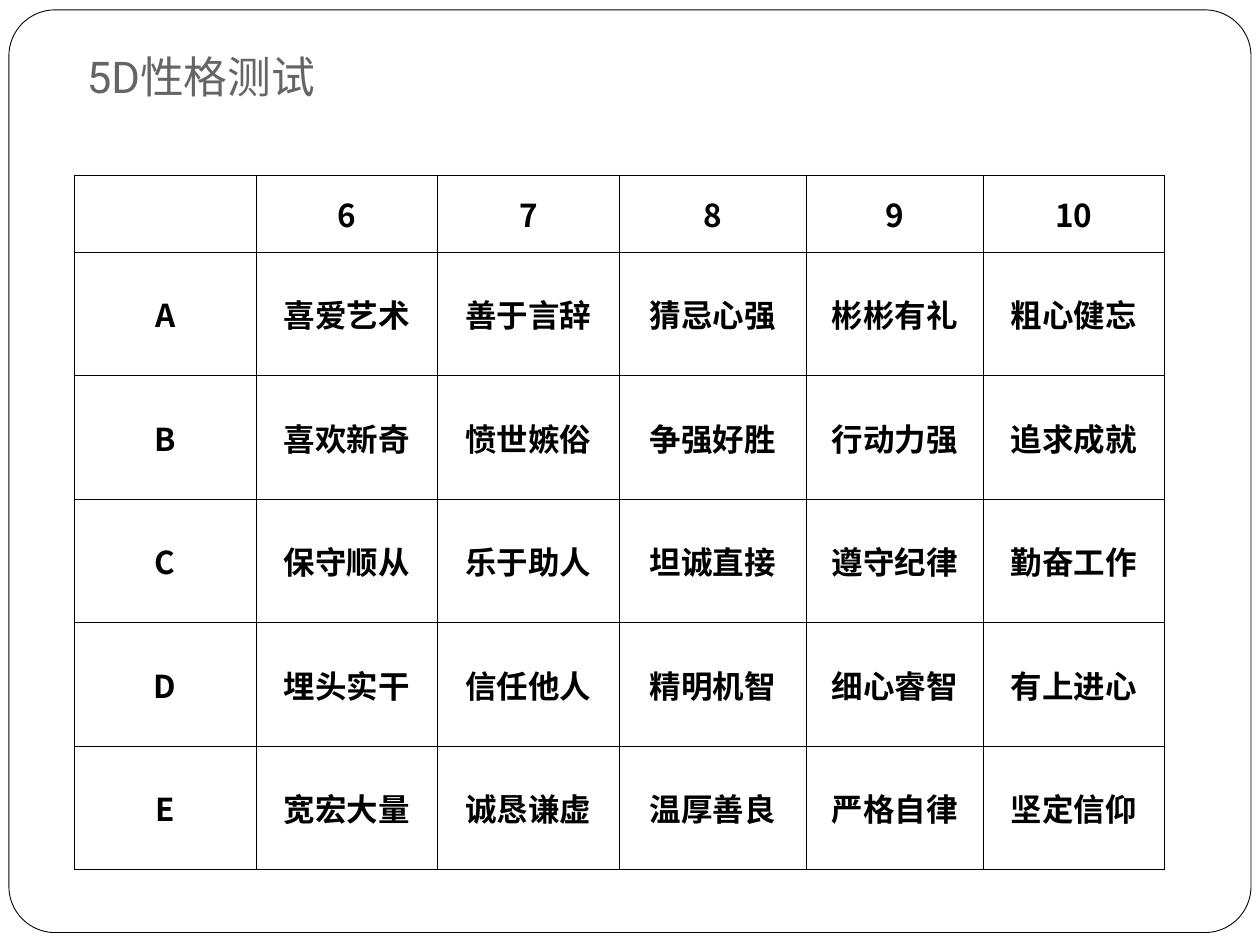
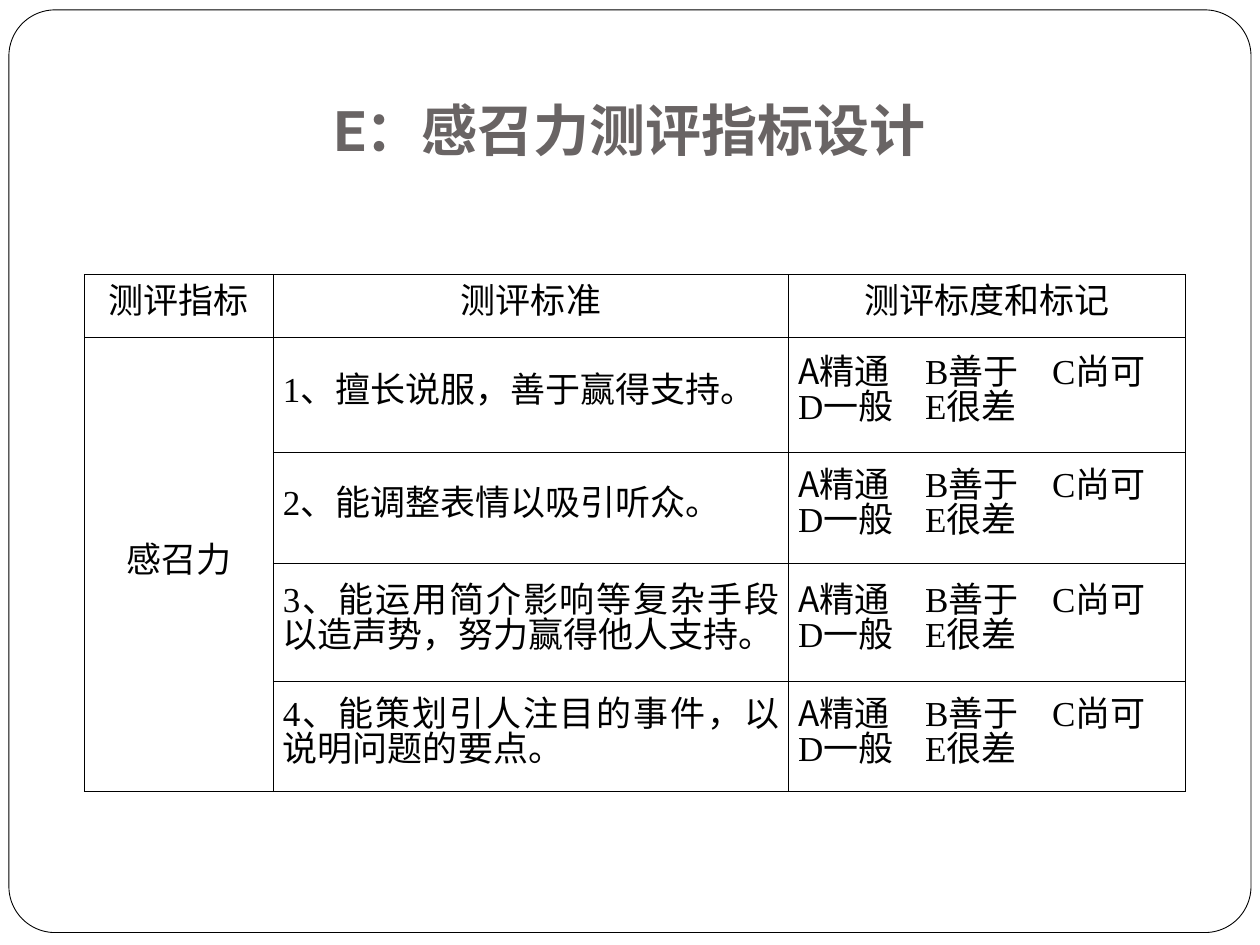
from lxml import etree
from pptx import Presentation
from pptx.dml.color import RGBColor
from pptx.enum import shapes, text
from pptx.oxml import ns
from pptx.util import Cm, Pt

COLORS = {"paper": "FFFFFF", "ink": "000000", "title": "696464"}
TITLE_FONT, SANS, SERIF = "Roboto", "Noto Sans CJK SC", "Times New Roman"
CENTER, JUSTIFY = text.PP_ALIGN.CENTER, text.PP_ALIGN.JUSTIFY
TITLE_ONLY = 5
SCALE_TABS = (2.56, 5.12)

TRAITS = [
    ["", "6", "7", "8", "9", "10"],
    ["A", "喜爱艺术", "善于言辞", "猜忌心强", "彬彬有礼", "粗心健忘"],
    ["B", "喜欢新奇", "愤世嫉俗", "争强好胜", "行动力强", "追求成就"],
    ["C", "保守顺从", "乐于助人", "坦诚直接", "遵守纪律", "勤奋工作"],
    ["D", "埋头实干", "信任他人", "精明机智", "细心睿智", "有上进心"],
    ["E", "宽宏大量", "诚恳谦虚", "温厚善良", "严格自律", "坚定信仰"],
]
HEADINGS = ["测评指标", "测评标准", "测评标度和标记"]
CRITERIA = [
    "1、擅长说服，善于赢得支持。",
    "2、能调整表情以吸引听众。",
    "3、能运用简介影响等复杂手段以造声势，努力赢得他人支持。",
    "4、能策划引人注目的事件，以说明问题的要点。",
]
SCALE = [
    [("A", SANS), ("精通\tB善于\tC尚可", SERIF)],
    [("D一般\tE很差", SERIF)],
]


def color(name):
    return RGBColor.from_string(COLORS[name])


class Deck:
    def __init__(self):
        self.deck = Presentation()
        self.deck.slide_width, self.deck.slide_height = Cm(25.4), Cm(19.05)
        self.layout = self.deck.slide_layouts[TITLE_ONLY]
        self.page = None

    def add_page(self):
        first = self.page is None
        self.page = self.deck.slides.add_slide(self.layout)
        if first:
            self.add_frame()

    def add_frame(self):
        """Draw the rounded page frame and move it to the shared layout."""
        frame = self.page.shapes.add_shape(
            shapes.MSO_SHAPE.ROUNDED_RECTANGLE,
            Cm(0.18), Cm(0.2), Cm(25.04), Cm(18.6))
        frame.adjustments[0] = 0.05
        frame.shadow.inherit = False
        frame.fill.solid()
        frame.fill.fore_color.rgb = color("paper")
        frame.line.color.rgb = color("ink")
        frame.line.width = Pt(0.5)
        self.layout.shapes.element.insert(2, frame.element)

    def add_span(self, para, words, font, size, bold=False, ink="ink"):
        span = para.add_run()
        span.text = words
        span.font.name, span.font.size, span.font.bold = font, Pt(size), bold
        span.font.color.rgb = color(ink)
        latin = span.font._element.find(ns.qn("a:latin"))
        east_asian = etree.Element(ns.qn("a:ea"), typeface=SANS)
        latin.addnext(east_asian)

    def add_title(self, words, left, top, size, bold=False,
                  align=text.PP_ALIGN.LEFT):
        box = self.page.shapes.title
        box.left, box.top, box.width, box.height = (
            Cm(left), Cm(top), Cm(18.8), Cm(1.4))
        frame = box.text_frame
        frame.auto_size = text.MSO_AUTO_SIZE.NONE
        frame.word_wrap = True
        frame.vertical_anchor = text.MSO_ANCHOR.BOTTOM
        frame.margin_left = frame.margin_right = frame.margin_bottom = Cm(0.25)
        frame.margin_top = Cm(0.13)
        para = frame.paragraphs[0]
        para.alignment = align
        self.add_span(para, words, TITLE_FONT, size, bold, "title")

    def add_table(self, left, top, widths, heights):
        table = self.page.shapes.add_table(
            len(heights), len(widths), Cm(left), Cm(top),
            Cm(sum(widths)), Cm(sum(heights))).table
        table.first_row = table.horz_banding = False
        for column, width in zip(table.columns, widths):
            column.width = Cm(width)
        for row, height in zip(table.rows, heights):
            row.height = Cm(height)
        for cell in table.iter_cells():
            cell.fill.background()
            self.add_borders(cell)
        return table

    def add_borders(self, cell):
        properties = cell._tc.get_or_add_tcPr()
        for position, side in enumerate(("lnL", "lnR", "lnT", "lnB")):
            line = etree.Element(ns.qn(f"a:{side}"), w=str(Pt(0.45)))
            fill = etree.SubElement(line, ns.qn("a:solidFill"))
            etree.SubElement(fill, ns.qn("a:srgbClr"), val=COLORS["ink"])
            properties.insert(position, line)

    def fill_cell(self, cell, lines, size, margin, align=CENTER, bold=False,
                  leading=None, tabs=()):
        """Write lines, each a list of (words, font) pairs, into a cell."""
        cell.vertical_anchor = text.MSO_ANCHOR.MIDDLE
        cell.margin_left = cell.margin_right = Cm(margin)
        cell.margin_top = cell.margin_bottom = Cm(0.13)
        frame = cell.text_frame
        for number, line in enumerate(lines):
            para = frame.add_paragraph() if number else frame.paragraphs[0]
            self.add_tabs(para, tabs)
            para.alignment = align
            if leading:
                para.line_spacing = Pt(leading)
            for words, font in line:
                self.add_span(para, words, font, size, bold)

    def add_tabs(self, para, stops):
        if stops:
            properties = para._p.get_or_add_pPr()
            tab_list = etree.SubElement(properties, ns.qn("a:tabLst"))
            for stop in stops:
                etree.SubElement(tab_list, ns.qn("a:tab"),
                                 pos=str(Cm(stop)), algn="l")


def add_traits_page(deck):
    deck.add_page()
    deck.add_title("5D性格测试", 1.5, 0.91, 25)
    table = deck.add_table(1.5, 3.53, [3.66] * 3 + [3.78, 3.56, 3.66],
                           [1.55] + [2.49] * 5)
    for row, traits in enumerate(TRAITS):
        for column, trait in enumerate(traits):
            if trait:
                deck.fill_cell(table.cell(row, column), [[(trait, SANS)]],
                               18, 0.25, bold=True)


def add_charisma_page(deck):
    deck.add_page()
    deck.add_title("E：感召力测评指标设计", 3.3, 2.13, 32, True, CENTER)
    table = deck.add_table(1.7, 5.54, [3.81, 10.39, 8],
                           [1.27, 2.3, 2.25, 2.38, 2.22])
    table.cell(1, 0).merge(table.cell(len(CRITERIA), 0))
    style = {"size": 20, "margin": 0.19, "leading": 20}
    for column, heading in enumerate(HEADINGS):
        deck.fill_cell(table.cell(0, column), [[(heading, SERIF)]], **style)
    deck.fill_cell(table.cell(1, 0), [[("感召力", SERIF)]], **style)
    for row, criterion in enumerate(CRITERIA, 1):
        deck.fill_cell(table.cell(row, 1), [[(criterion, SERIF)]],
                       align=JUSTIFY, **style)
        deck.fill_cell(table.cell(row, 2), SCALE, align=JUSTIFY,
                       tabs=SCALE_TABS, **style)


def main():
    deck = Deck()
    add_traits_page(deck)
    add_charisma_page(deck)
    deck.deck.save("out.pptx")


if __name__ == "__main__":
    main()
